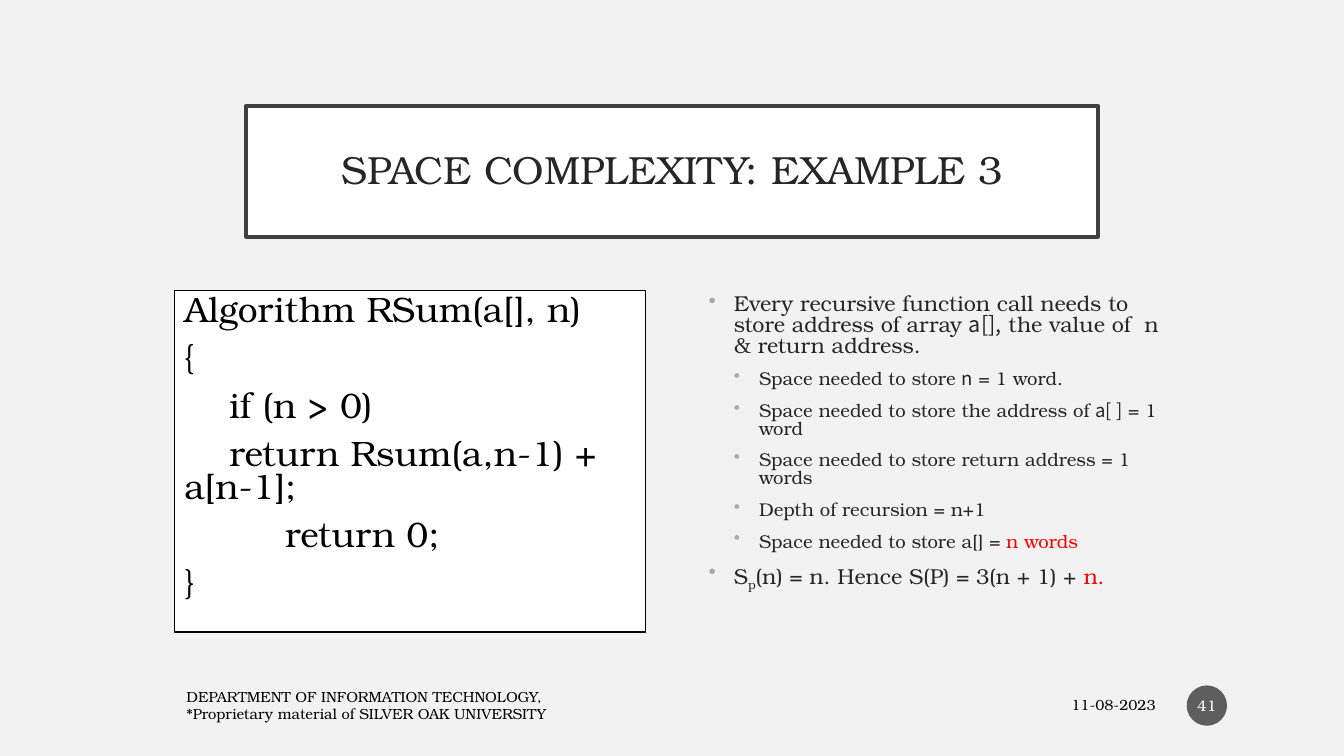
"""Build the slide on the space complexity of a recursive sum."""
from dataclasses import dataclass
from typing import Optional

from pptx import Presentation
from pptx.dml.color import RGBColor
from pptx.enum.shapes import MSO_SHAPE
from pptx.enum.text import MSO_ANCHOR, MSO_AUTO_SIZE, PP_ALIGN
from pptx.oxml.xmlchemy import OxmlElement
from pptx.util import Emu, Pt

BLACK = RGBColor(0x00, 0x00, 0x00)
WHITE = RGBColor(0xFF, 0xFF, 0xFF)
PAPER = RGBColor(0xF2, 0xF2, 0xF2)
FRAME = RGBColor(0x40, 0x40, 0x40)
INK = RGBColor(0x26, 0x26, 0x26)
RED = RGBColor(0xFF, 0x00, 0x00)
DOT = RGBColor(0x9B, 0xAF, 0xB5)
BADGE = RGBColor(0x1D, 0x1D, 0x1D)
SERIF = "TeX Gyre Bonum"
SANS = "Noto Sans CJK SC"
SCALE = 9144


@dataclass
class Span:
    text: str
    color: RGBColor = INK
    font: str = SERIF
    base: int = 0


@dataclass
class Para:
    spans: list[Span]
    size: float
    align: PP_ALIGN = PP_ALIGN.LEFT
    lead: Optional[float] = None
    level: Optional[int] = None


@dataclass
class Box:
    left: int
    top: int
    width: int
    height: int
    paras: list[Para]
    shape: Optional[MSO_SHAPE] = None
    fill: RGBColor = WHITE
    alpha: int = 100
    line: Optional[RGBColor] = None
    weight: float = 1
    anchor: MSO_ANCHOR = MSO_ANCHOR.MIDDLE
    inset: tuple[int, int] = (10, 5)


def px(count: int) -> Emu:
    return Emu(count * SCALE)


def add_dot(para, level: int) -> None:
    props = para._p.get_or_add_pPr()
    props.set("lvl", str(level))
    props.set("marL", str(px(25 * (level + 1))))
    props.set("indent", str(px(-25)))
    tint = OxmlElement("a:buClr")
    value = OxmlElement("a:srgbClr")
    value.set("val", str(DOT))
    tint.append(value)
    mark = OxmlElement("a:buChar")
    mark.set("char", "•")
    props.extend([tint, mark])


def write(frame, box: Box) -> None:
    frame.auto_size = MSO_AUTO_SIZE.NONE
    frame.word_wrap = True
    frame.vertical_anchor = box.anchor
    frame.margin_left = frame.margin_right = px(box.inset[0])
    frame.margin_top = frame.margin_bottom = px(box.inset[1])
    for index, item in enumerate(box.paras):
        para = frame.add_paragraph() if index else frame.paragraphs[0]
        if item.level is not None:
            add_dot(para, item.level)
        para.alignment = item.align
        if item.lead:
            para.line_spacing = item.lead
            para.space_before = Pt(10 if index else 0)
        for span in item.spans:
            run = para.add_run()
            run.text = span.text
            run.font.size = Pt(item.size)
            run.font.name = span.font
            run.font.color.rgb = span.color
            if span.base:
                run._r.get_or_add_rPr().set("baseline", str(span.base * 1000))


def paint(shape, box: Box) -> None:
    shape.fill.solid()
    shape.fill.fore_color.rgb = box.fill
    if box.alpha < 100:
        alpha = OxmlElement("a:alpha")
        alpha.set("val", str(box.alpha * 1000))
        shape.fill._xPr.find(".//{*}srgbClr").append(alpha)
    if box.line is None:
        shape.line.fill.background()
    else:
        shape.line.color.rgb = box.line
        shape.line.width = Pt(box.weight)


def draw(slide, box: Box) -> None:
    area = [px(n) for n in (box.left, box.top, box.width, box.height)]
    if box.shape is None:
        shape = slide.shapes.add_textbox(*area)
    else:
        shape = slide.shapes.add_shape(box.shape, *area)
        shape.shadow.inherit = False
        paint(shape, box)
    write(shape.text_frame, box)


def head(slide, box: Box) -> None:
    title = slide.shapes.title
    title.left, title.top = px(box.left), px(box.top)
    title.width, title.height = px(box.width), px(box.height)
    paint(title, box)
    write(title.text_frame, box)


def note(*spans: Span, level: int = 1) -> Para:
    return Para(list(spans), 13.2 if level else 15.4, lead=0.8, level=level)


def small(text: str, align: PP_ALIGN = PP_ALIGN.LEFT) -> Para:
    return Para([Span(text, BLACK)], 10.5, align)


TITLE = Box(244, 105, 845, 130,
            [Para([Span("SPACE COMPLEXITY: EXAMPLE 3")], 28, PP_ALIGN.CENTER, 0.9)],
            line=FRAME, weight=2.5, inset=(20, 20))
CODE = ["Algorithm RSum(a[], n)", "{", "    if (n > 0)",
        "    return Rsum(a,n-1) + a[n-1];", "       \treturn 0;", "}"]
NOTES = [
    note(Span("Every recursive function call needs to store address of array "),
         Span("a[],", font=SANS), Span(" the value of  n & return address."), level=0),
    note(Span("Space needed to store "), Span("n", font=SANS), Span(" = 1 word.")),
    note(Span("Space needed to store the address of "), Span("a[ ]", font=SANS),
         Span(" = 1 word")),
    note(Span("Space needed to store return address = 1 words")),
    note(Span("Depth of recursion = n+1")),
    note(Span("Space needed to store a[] = "), Span("n words", RED)),
    note(Span("S"), Span("p", base=-25), Span("(n) = n. Hence S(P) = 3(n + 1) + "),
         Span("n.", RED), level=0),
]
BOXES = [
    Box(173, 288, 467, 339, [Para([Span(row, BLACK)], 25.2, lead=0.8) for row in CODE],
        MSO_SHAPE.RECTANGLE, line=BLACK, anchor=MSO_ANCHOR.TOP),
    Box(693, 288, 467, 339, NOTES, anchor=MSO_ANCHOR.TOP),
    Box(855, 682, 301, 35, [small("11-08-2023", PP_ALIGN.RIGHT)]),
    Box(175, 682, 645, 35, [small("DEPARTMENT OF INFORMATION TECHNOLOGY,"),
                            small("*Proprietary material of SILVER OAK UNIVERSITY")]),
    Box(1177, 680, 40, 40, [Para([Span("41", WHITE)], 11, PP_ALIGN.CENTER)],
        MSO_SHAPE.OVAL, BADGE, 69, inset=(2, 5)),
]


def main() -> None:
    deck = Presentation()
    deck.slide_width, deck.slide_height = px(1333), px(750)
    slide = deck.slides.add_slide(deck.slide_layouts[5])
    slide.background.fill.solid()
    slide.background.fill.fore_color.rgb = PAPER
    head(slide, TITLE)
    for box in BOXES:
        draw(slide, box)
    deck.save("out.pptx")


if __name__ == "__main__":
    main()
